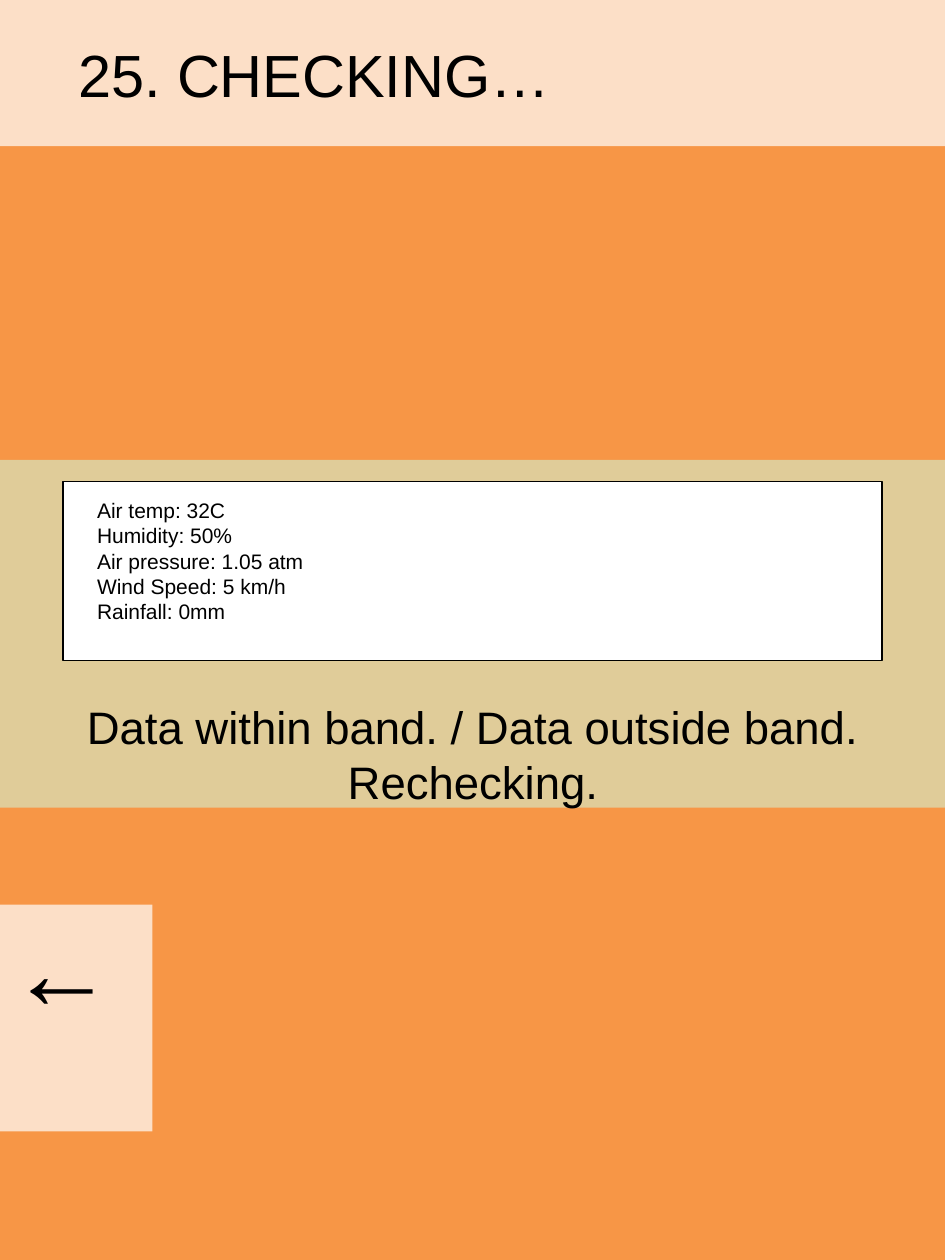
from dataclasses import dataclass

from lxml import etree
from pptx import Presentation
from pptx.dml.color import RGBColor
from pptx.enum.shapes import MSO_SHAPE
from pptx.enum.text import MSO_ANCHOR, MSO_AUTO_SIZE, PP_ALIGN
from pptx.oxml.ns import qn
from pptx.util import Inches, Pt

RECT = MSO_SHAPE.RECTANGLE
TOP = MSO_ANCHOR.TOP
GROW = MSO_AUTO_SIZE.SHAPE_TO_FIT_TEXT
LEFT, CENTER = PP_ALIGN.LEFT, PP_ALIGN.CENTER
TITLE_AND_CONTENT = 1


@dataclass(frozen=True)
class Theme:
    font: str = "Arial"
    background: RGBColor = RGBColor(0xF7, 0x96, 0x46)
    band: RGBColor = RGBColor(0xD7, 0xE4, 0xBD)
    panel: RGBColor = RGBColor(0xFF, 0xFF, 0xFF)
    ink: RGBColor = RGBColor(0, 0, 0)
    opacity: int = 70
    title: int = 34
    message: int = 26
    arrow: int = 60
    reading: int = 12
    border: float = 0.75


THEME = Theme()
WIDTH, HEIGHT = 7.5, 10

READINGS = [
    "Air temp: 32C",
    "Humidity: 50%",
    "Air pressure: 1.05 atm",
    "Wind Speed: 5 km/h",
    "Rainfall: 0mm",
]


def place(sp, box):
    for name, value in zip(("left", "top", "width", "height"), box):
        setattr(sp, name, Inches(value))


def add_panel(shapes, box, color, opacity=None, border=None):
    """Add a rectangle, optionally translucent or outlined."""
    sp = shapes.add_shape(RECT, *map(Inches, box))
    sp.shadow.inherit = False
    sp.fill.solid()
    sp.fill.fore_color.rgb = color
    if opacity is not None:
        clr = sp.fill._xPr.find(qn("a:solidFill"))[0]
        etree.SubElement(clr, qn("a:alpha"), val=str(opacity * 1000))
    if border is None:
        sp.line.fill.background()
    else:
        sp.line.color.rgb = THEME.ink
        sp.line.width = Pt(border)
    return sp


def write(sp, lines, size, align=LEFT):
    """Fill a shape with one plain paragraph per line."""
    tf = sp.text_frame
    frame_format = {"word_wrap": True, "auto_size": GROW, "vertical_anchor": TOP}
    for name, value in frame_format.items():
        setattr(tf, name, value)
    para_format = {"alignment": align, "space_before": Pt(0)}
    font_format = {"name": THEME.font, "size": Pt(size)}
    for i, line in enumerate(lines):
        p = tf.add_paragraph() if i else tf.paragraphs[0]
        r = p.add_run()
        r.text = line
        for name, value in para_format.items():
            setattr(p, name, value)
        for name, value in font_format.items():
            setattr(r.font, name, value)
        r.font.color.rgb = THEME.ink


def add_text(shapes, box, lines, size, align=LEFT):
    sp = shapes.add_textbox(*map(Inches, box))
    write(sp, lines, size, align)
    return sp


def fill_placeholder(s, sp, box, lines, size):
    """Move a placeholder to the front and fill it without bullets."""
    s.shapes._spTree.append(sp._element)
    place(sp, box)
    write(sp, lines, size)
    for p in sp.text_frame.paragraphs:
        pPr = p._p.get_or_add_pPr()
        pPr.set("marL", "0")
        pPr.set("indent", "0")
        etree.SubElement(pPr, qn("a:buNone"))


def add_back_button(s):
    group = s.shapes.add_group_shape()
    add_panel(group.shapes, (0, 7.18, 1.21, 1.8), THEME.panel, THEME.opacity)
    arrow = add_text(group.shapes, (0.15, 7.51, 0.86, 1.11), ["→"], THEME.arrow)
    arrow.rotation = 180


def main():
    prs = Presentation()
    prs.slide_width, prs.slide_height = Inches(WIDTH), Inches(HEIGHT)
    s = prs.slides.add_slide(prs.slide_layouts[TITLE_AND_CONTENT])
    s.background.fill.solid()
    s.background.fill.fore_color.rgb = THEME.background
    title, body = s.shapes.title, s.placeholders[1]

    # Data band and header
    add_panel(s.shapes, (0, 3.65, WIDTH, 2.76), THEME.band, THEME.opacity)
    add_panel(s.shapes, (0, 0, WIDTH, 1.16), THEME.panel, THEME.opacity)
    fill_placeholder(s, title, (0.52, 0.25, 6.5, 0.67), ["25. CHECKING…"], THEME.title)

    # Status message
    add_text(s.shapes, (0.25, 5.5, 7.01, 0.98),
             ["Data within band. / Data outside band. Rechecking."],
             THEME.message, CENTER)

    # Navigation
    add_back_button(s)

    # Weather readings
    add_panel(s.shapes, (0.5, 3.82, 6.5, 1.42), THEME.panel, border=THEME.border)
    fill_placeholder(s, body, (0.67, 3.9, 5.62, 1.11), READINGS, THEME.reading)

    prs.save("out.pptx")


if __name__ == "__main__":
    main()
